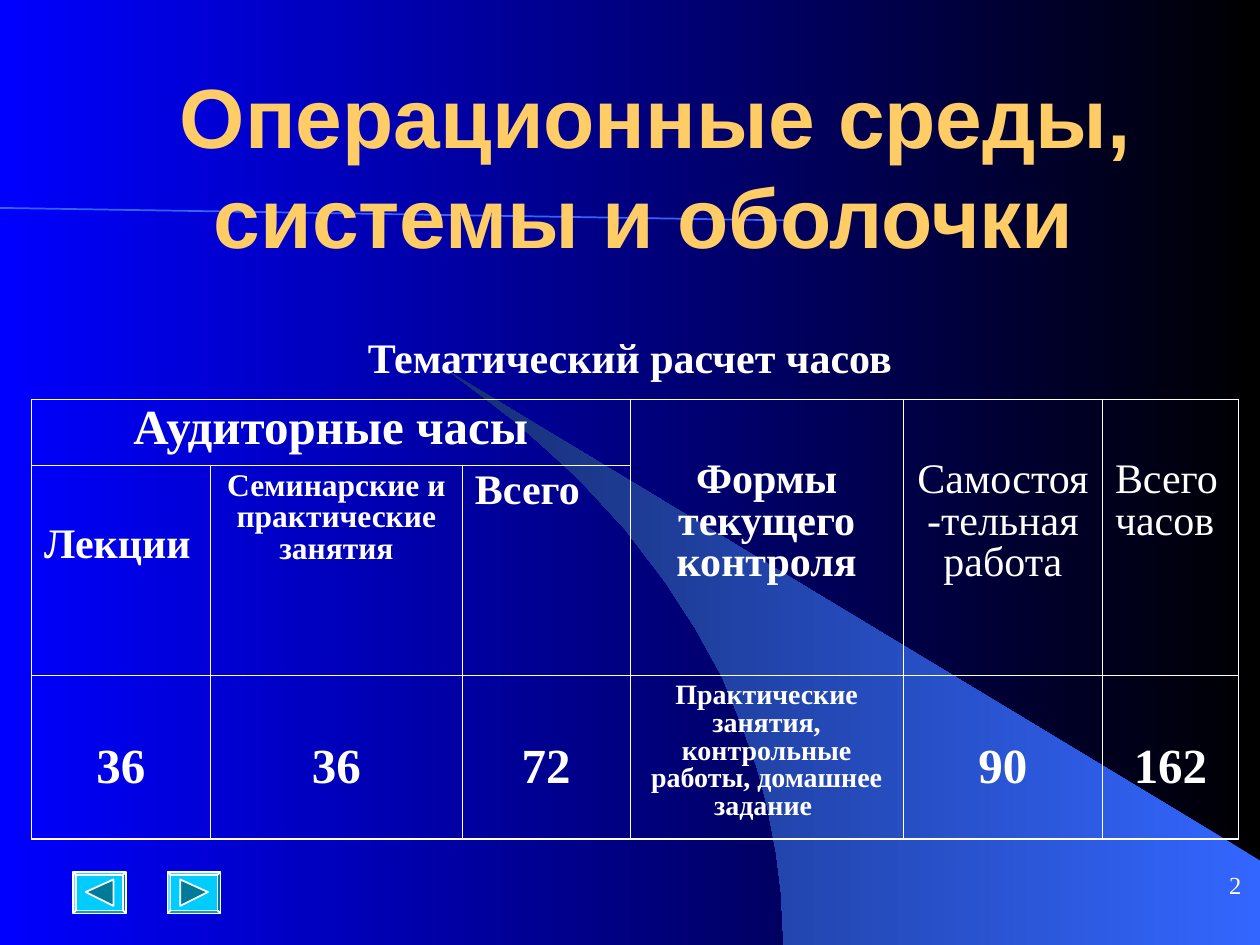
from pptx import Presentation
from pptx.dml.color import RGBColor
from pptx.enum import shapes as kinds, text as t
from pptx.oxml import ns, xmlchemy
from pptx.util import Inches, Pt

BLACK = RGBColor(0x00, 0x00, 0x00)
BLUE = RGBColor(0x00, 0x00, 0xFF)
SKY = RGBColor(0x33, 0x66, 0xFF)
NAVY = RGBColor(0x17, 0x2F, 0x75)
GOLD = RGBColor(0xFF, 0xCC, 0x66)
WHITE = RGBColor(0xFF, 0xFF, 0xFF)
CYAN = RGBColor(0x00, 0xCC, 0xFF)
TEAL = RGBColor(0x00, 0x7A, 0x99)

LEFT, CENTER, RIGHT = t.PP_ALIGN.LEFT, t.PP_ALIGN.CENTER, t.PP_ALIGN.RIGHT
THIN, THICK = 0.45, 1.08
WEDGE = [(6.22, 7.5), (10, 7.5), (10, 6.83), (3.58, 2.96), (3.86, 3.17), (4.08, 3.34),
         (4.34, 3.57), (4.59, 3.8), (4.96, 4.2), (5.28, 4.62), (5.52, 4.99), (5.73, 5.37),
         (5.89, 5.76), (6.01, 6.1), (6.09, 6.4), (6.16, 6.77), (6.2, 7.09)]
COLUMNS = [1.42, 2, 1.33, 2.17, 1.58, 1.08]
ROWS = [0.52, 1.67, 1.3]
MERGES = [((0, 0), (0, 2)), ((0, 3), (1, 3)), ((0, 4), (1, 4)), ((0, 5), (1, 5))]
HOURS = [
    (0, 0, "Аудиторные часы", dict(size=28)),
    (0, 3, "Формы текущего контроля", dict(top=0.48)),
    (0, 4, "Самостоя-тельная работа", dict(top=0.48, bold=False)),
    (0, 5, "Всего часов", dict(top=0.48, bold=False, align=LEFT)),
    (1, 0, "Лекции", dict(top=0.48, align=LEFT)),
    (1, 1, "Семинарские и практические занятия", dict(size=18)),
    (1, 2, "Всего", dict(align=LEFT)),
    (2, 0, "36", dict(size=28, top=0.55)),
    (2, 1, "36", dict(size=28, top=0.55)),
    (2, 2, "72", dict(size=28, top=0.55)),
    (2, 3, "Практические занятия, контрольные работы, домашнее задание ", dict(size=16)),
    (2, 4, "90", dict(size=28, top=0.55)),
    (2, 5, "162", dict(size=28, top=0.55)),
]


def write(frame, words, size=24, font="Times New Roman", color=WHITE, bold=True,
          align=CENTER, spacing=None):
    """Put one formatted paragraph into a text frame."""
    frame.word_wrap = True
    paragraph = frame.paragraphs[0]
    paragraph.alignment = align
    paragraph.line_spacing = spacing
    run = paragraph.add_run()
    run.text = words
    run.font.size = Pt(size)
    run.font.name = font
    run.font.bold = bold
    run.font.color.rgb = color


def shade(fill, start, end):
    """Give a fill a horizontal gradient that runs from right to left."""
    fill.gradient()
    fill.gradient_angle = 180
    for stop, color in zip(fill.gradient_stops, (start, end)):
        stop.color.rgb = color


def outline(slide, points):
    """Add a closed polygon through points given in inches."""
    corners = [(Inches(x), Inches(y)) for x, y in points]
    builder = slide.shapes.build_freeform(*corners[0])
    builder.add_line_segments(corners[1:], close=True)
    polygon = builder.convert_to_shape()
    polygon.shadow.inherit = False
    return polygon


def add_backdrop(slide):
    """Paint the gradient, the light wedge and the horizon line."""
    shade(slide.background.fill, BLACK, BLUE)
    wedge = outline(slide, WEDGE)
    shade(wedge.fill, SKY, NAVY)
    wedge.line.fill.background()
    horizon = slide.shapes.add_connector(
        kinds.MSO_CONNECTOR.STRAIGHT, 0, Inches(1.65), Inches(6.3), Inches(1.75))
    horizon.line.color.rgb = SKY
    horizon.line.width = Pt(1)
    xmlchemy.OxmlElement("a:effectLst")
    horizon.element.spPr.append(xmlchemy.OxmlElement("a:effectLst"))


def add_title(slide, left, top, width, height):
    """Place the course name in the title placeholder above the backdrop."""
    title = slide.shapes.title
    title.element.getparent().append(title.element)
    title.left, title.top = Inches(left), Inches(top)
    title.width, title.height = Inches(width), Inches(height)
    frame = title.text_frame
    frame.auto_size = t.MSO_AUTO_SIZE.NONE
    frame.vertical_anchor = t.MSO_ANCHOR.BOTTOM
    write(frame, "Операционные среды, системы и оболочки ", size=48, font="Arial", color=GOLD)


def add_label(slide, left, top, width, height, words, anchor=t.MSO_ANCHOR.TOP, **style):
    """Place a line of text in its own box."""
    label = slide.shapes.add_textbox(Inches(left), Inches(top), Inches(width), Inches(height))
    label.text_frame.vertical_anchor = anchor
    write(label.text_frame, words, **style)
    return label


def rule_cell(cell, widths):
    """Draw the left, right, top and bottom borders of a cell."""
    properties = cell._tc.get_or_add_tcPr()
    for place, (side, width) in enumerate(zip("LRTB", widths)):
        border = xmlchemy.OxmlElement(f"a:ln{side}")
        border.set("w", str(Pt(width)))
        paint = xmlchemy.OxmlElement("a:solidFill")
        color = xmlchemy.OxmlElement("a:srgbClr")
        color.set("val", str(WHITE))
        paint.append(color)
        border.append(paint)
        properties.insert(place, border)


def add_hours(slide, left, top):
    """Build the table of study hours."""
    table = slide.shapes.add_table(
        len(ROWS), len(COLUMNS), Inches(left), Inches(top),
        Inches(sum(COLUMNS)), Inches(sum(ROWS))).table
    table.first_row = table.horz_banding = False
    for column, width in zip(table.columns, COLUMNS):
        column.width = Inches(width)
    for row, height in zip(table.rows, ROWS):
        row.height = Inches(height)
    for first, last in MERGES:
        table.cell(*first).merge(table.cell(*last))
    for r in range(len(ROWS)):
        for c in range(len(COLUMNS)):
            cell = table.cell(r, c)
            cell.fill.background()
            edges = (c == 0, c == len(COLUMNS) - 1, r == 0, r == len(ROWS) - 1)
            rule_cell(cell, [THICK if edge else THIN for edge in edges])
    for r, c, words, style in HOURS:
        cell = table.cell(r, c)
        look = dict(style)
        cell.margin_top = Inches(look.pop("top", 0.05))
        write(cell.text_frame, words, spacing=0.9, **look)


def add_button(slide, left, top, forward):
    """Draw a bevelled navigation button with its arrow."""
    key = slide.shapes.add_shape(
        kinds.MSO_SHAPE.BEVEL, Inches(left), Inches(top), Inches(0.42), Inches(0.33))
    key.adjustments[0] = 0.07
    key.shadow.inherit = False
    base, tip = (0.1, 0.32) if forward else (0.32, 0.1)
    arrow = outline(slide, [(left + base, top + 0.06), (left + tip, top + 0.16),
                            (left + base, top + 0.27)])
    for part, color in ((key, CYAN), (arrow, TEAL)):
        part.fill.solid()
        part.fill.fore_color.rgb = color
        part.line.color.rgb = WHITE
        part.line.width = Pt(1)


def main():
    """Assemble and save the slide."""
    deck = Presentation()
    deck.slide_width, deck.slide_height = Inches(10), Inches(7.5)
    slide = deck.slides.add_slide(deck.slide_layouts[5])
    add_backdrop(slide)
    add_title(slide, 0.83, 0.83, 8.75, 1.33)
    add_label(slide, 0, 2.58, 10, 0.5, "Тематический расчет часов")
    add_hours(slide, 0.25, 3.17)
    add_button(slide, 1.33, 6.92, forward=True)
    add_button(slide, 0.58, 6.92, forward=False)
    number = add_label(slide, 7.87, 6.72, 2.08, 0.42, "2", anchor=t.MSO_ANCHOR.BOTTOM,
                       size=14, bold=False, align=RIGHT)
    number.text_frame.margin_top = number.text_frame.margin_bottom = 0
    deck.save("out.pptx")


if __name__ == "__main__":
    main()
